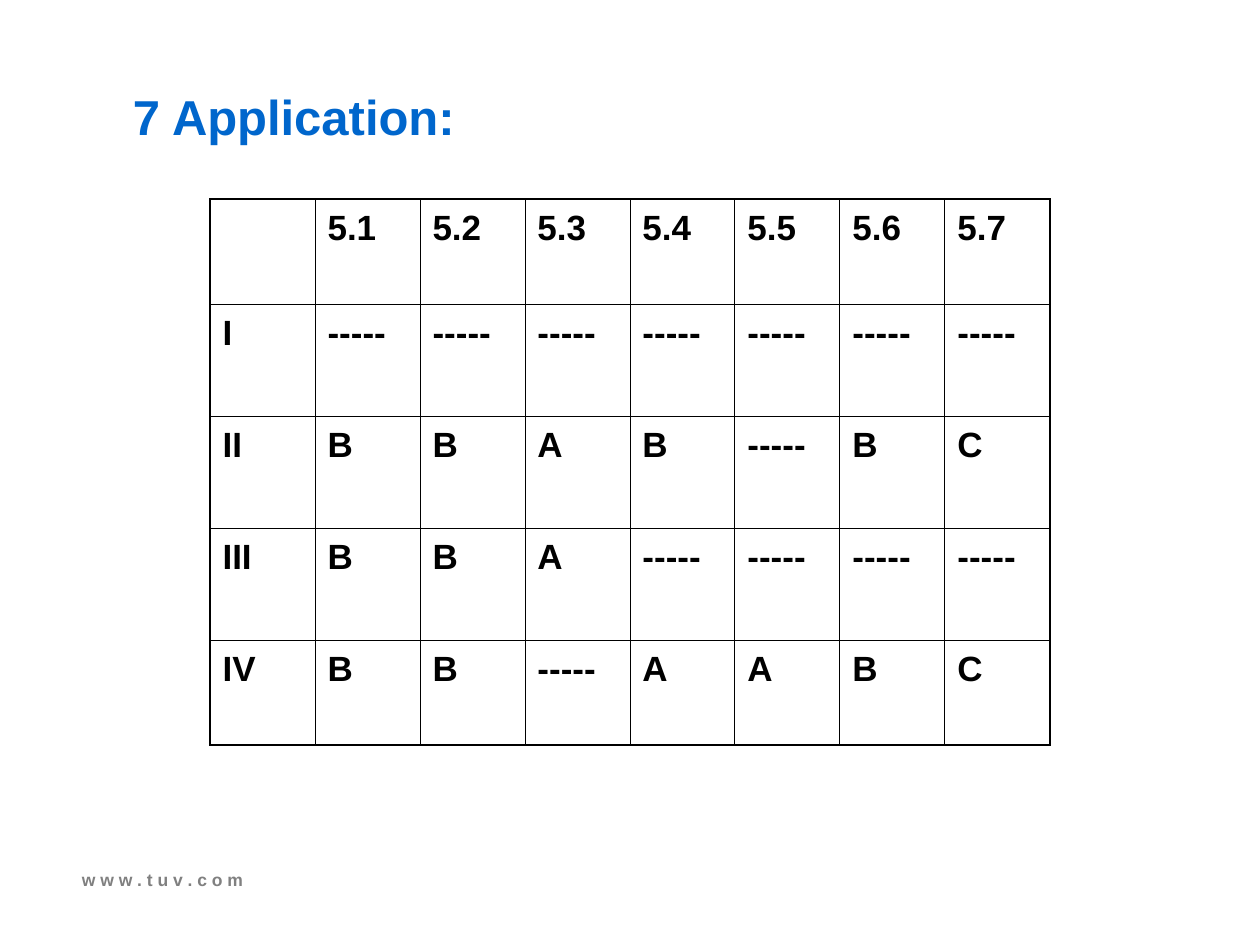
from lxml import etree
from pptx import Presentation
from pptx import util as u
from pptx.dml.color import RGBColor
from pptx.enum import text
from pptx.oxml import ns

PX = u.Inches(1) / 126
BLACK = RGBColor(0x00, 0x00, 0x00)
BLUE = RGBColor(0x00, 0x66, 0xCC)
GREY = RGBColor(0x80, 0x80, 0x80)
NONE = "-----"
CLAUSES = ["", "5.1", "5.2", "5.3", "5.4", "5.5", "5.6", "5.7"]
CLASSES = [
    ["I"] + [NONE] * 7,
    ["II", "B", "B", "A", "B", NONE, "B", "C"],
    ["III", "B", "B", "A"] + [NONE] * 4,
    ["IV", "B", "B", NONE, "A", "A", "B", "C"],
]


def px(length):
    return u.Emu(round(length * PX))


class SlideBuilder:
    """Hold the shared style and add elements to the current slide."""

    font = "Arial"
    outer, inner = u.Pt(1.08), u.Pt(0.45)

    def __init__(self, slide):
        self.slide = slide

    def apply(self, target, values):
        for name, value in values.items():
            setattr(target, name, value)

    def add_words(self, paragraph, words, size, color):
        run = paragraph.add_run()
        run.text = words
        self.apply(run.font, {"name": self.font, "size": u.Pt(size), "bold": True})
        run.font.color.rgb = color

    def label(self, words, left, top, width, height, size, color, anchor, inset_left=0, inset_top=0):
        frame = self.slide.shapes.add_textbox(*map(px, (left, top, width, height))).text_frame
        self.apply(frame, {
            "word_wrap": True,
            "vertical_anchor": anchor,
            "margin_left": px(inset_left),
            "margin_top": px(inset_top),
            "margin_right": 0,
            "margin_bottom": 0,
        })
        self.add_words(frame.paragraphs[0], words, size, color)

    def borders(self, cell, widths):
        properties = cell._tc.get_or_add_tcPr()
        for index, (side, width) in enumerate(widths.items()):
            line = etree.Element(ns.qn(f"a:ln{side}"), w=str(width))
            fill = etree.SubElement(line, ns.qn("a:solidFill"))
            etree.SubElement(fill, ns.qn("a:srgbClr"), val=str(BLACK))
            properties.insert(index, line)

    def grid(self, rows, left, top, column_width, row_heights, size):
        last_row, last_column = len(rows) - 1, len(rows[0]) - 1
        table = self.slide.shapes.add_table(
            len(rows), len(rows[0]), px(left), px(top),
            px(column_width * len(rows[0])), px(sum(row_heights))).table
        self.apply(table, {"first_row": False, "horz_banding": False})
        for column in table.columns:
            column.width = px(column_width)
        for r, (values, height) in enumerate(zip(rows, row_heights)):
            table.rows[r].height = px(height)
            for c, value in enumerate(values):
                cell = table.cell(r, c)
                cell.fill.background()
                edges = {"L": c == 0, "R": c == last_column, "T": r == 0, "B": r == last_row}
                self.borders(cell, {side: self.outer if edge else self.inner
                                    for side, edge in edges.items()})
                if value:
                    paragraph = cell.text_frame.paragraphs[0]
                    self.apply(paragraph, {"line_spacing": 1.1, "space_after": u.Pt(5)})
                    self.add_words(paragraph, value, size, BLACK)


def main():
    deck = Presentation()
    deck.slide_width, deck.slide_height = u.Inches(10), u.Inches(7.5)
    builder = SlideBuilder(deck.slides.add_slide(deck.slide_layouts[6]))
    builder.label("w w w . t u v . c o m", 82, 855, 248, 35, 10, GREY,
                  text.MSO_ANCHOR.BOTTOM, inset_top=15)
    builder.label("7 Application:", 84, 84, 1040, 63, 28, BLUE,
                  text.MSO_ANCHOR.MIDDLE, inset_left=49)
    builder.grid([CLAUSES] + CLASSES, 210, 199, 105, [105, 112, 112, 112, 105], 20)
    deck.save("out.pptx")


if __name__ == "__main__":
    main()
